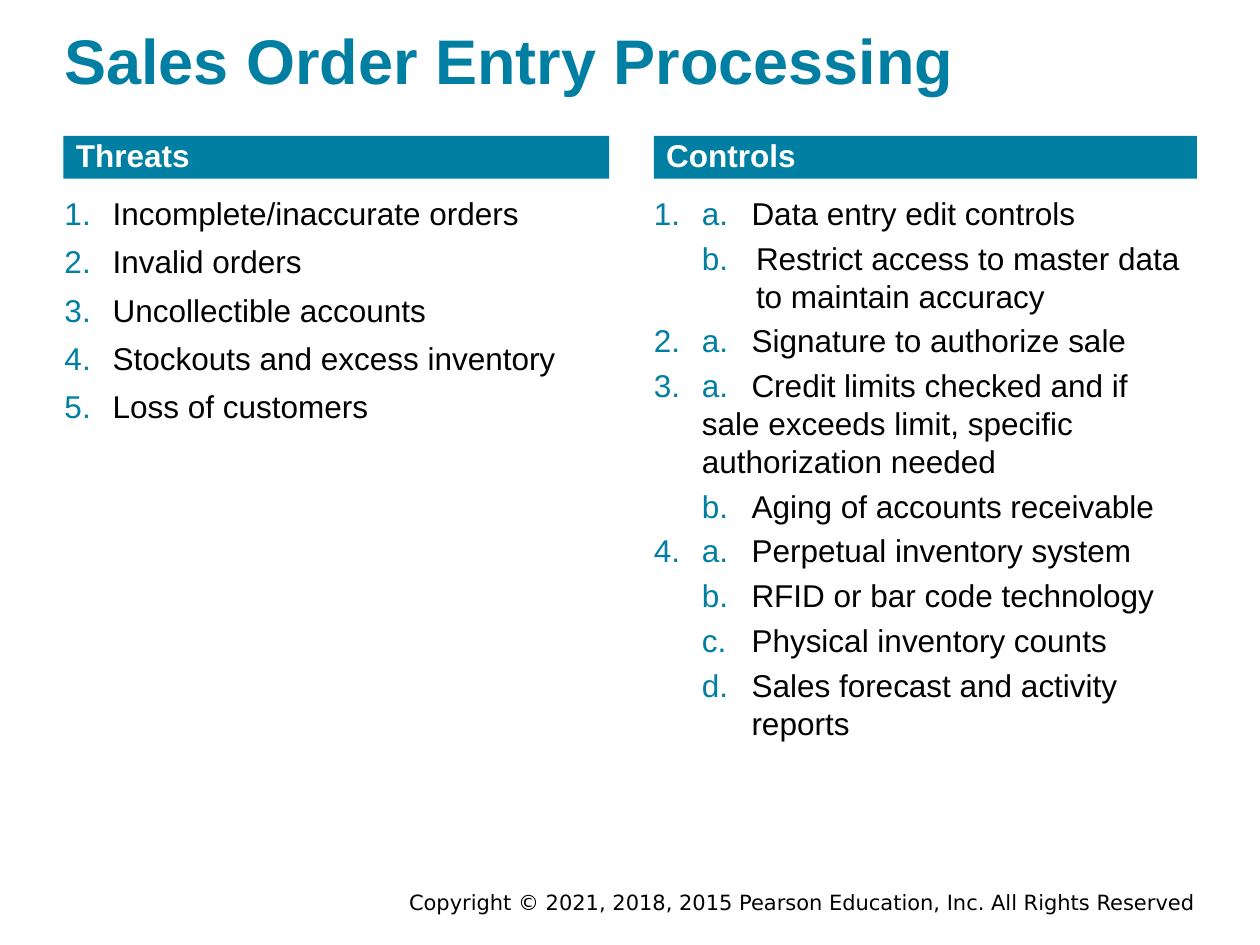
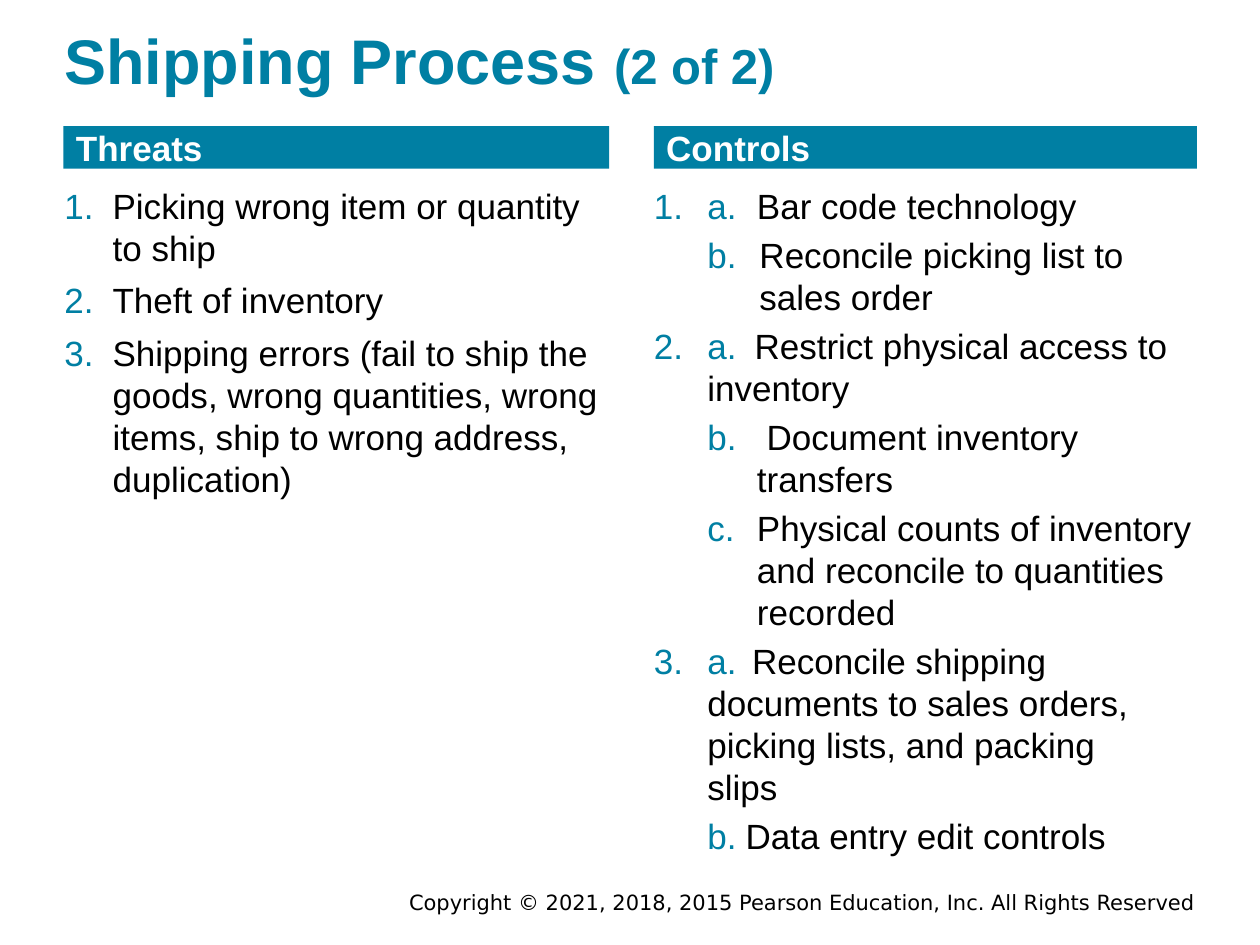
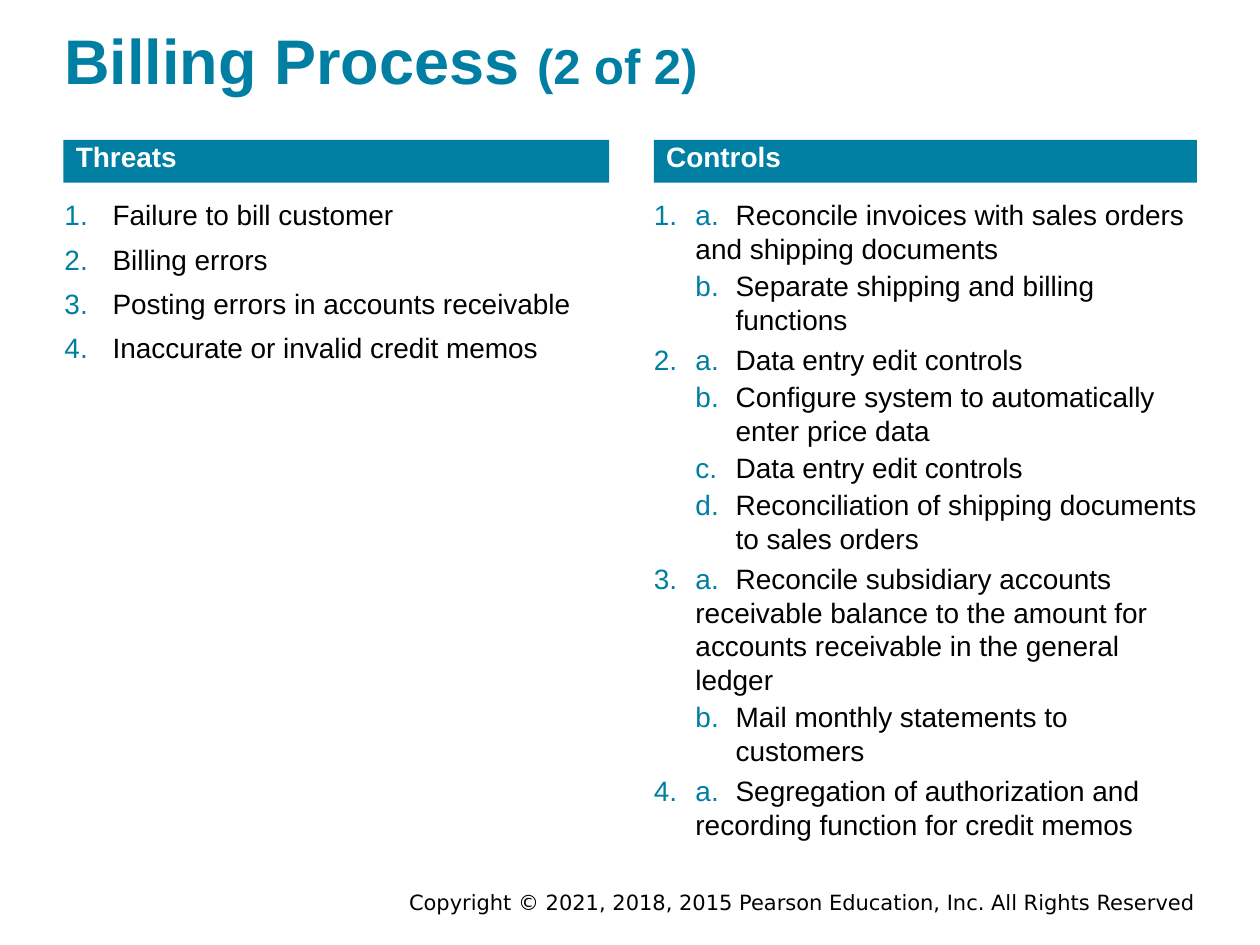
import pptx
import pptx.dml.color
import pptx.enum.text
import pptx.oxml
import pptx.oxml.ns
import pptx.util

Cm = pptx.util.Cm
Pt = pptx.util.Pt
COLORS = {"teal": "007FA3", "white": "FFFFFF", "black": "000000"}
COPYRIGHT = "Copyright © 2021, 2018, 2015 Pearson Education, Inc. All Rights Reserved"
LEFT_COL = (1.28, 11)
RIGHT_COL = (13.18, 10.95)
THREAT_STEP = 0.97

# Lengths in cm. step: start of the letters; text_left: usual start of control text.
# A control is (letter, text) plus its own text start where that differs.
SLIDES = [
    {
        "title": "Sales Order Entry Processing", "part": "",
        "size": 18, "band_top": 2.74, "step": 0.97, "text_left": 1.97, "letter_gap": 4,
        "heights": (5.13, 11.1),
        "threats": [
            "Incomplete/inaccurate orders",
            "Invalid orders",
            "Uncollectible accounts",
            "Stockouts and excess inventory",
            "Loss of customers",
        ],
        "controls": [
            ("a.", "Data entry edit controls"),
            ("b.", "Restrict access to master data to maintain accuracy", 2.06),
            ("a.", "Signature to authorize sale"),
            ("a.", "Credit limits checked and if\vsale exceeds limit, specific authorization needed"),
            ("b.", "Aging of accounts receivable"),
            ("a.", "Perpetual inventory system"),
            ("b.", "RFID or bar code technology"),
            ("c.", "Physical inventory counts"),
            ("d.", "Sales forecast and activity reports"),
        ],
    },
    {
        "title": "Shipping Process ", "part": "(2 of 2)",
        "size": 20, "band_top": 2.54, "step": 1.08, "text_left": 2.08, "letter_gap": 4,
        "heights": (6.4, 13.72),
        "threats": [
            "Picking wrong item or quantity to ship",
            "Theft of inventory",
            "Shipping errors (fail to ship the goods, wrong quantities, wrong items, "
            "ship to wrong address, duplication)",
        ],
        "controls": [
            ("a.", "Bar code technology"),
            ("b.", "Reconcile picking list to sales order", 2.13),
            ("a.", "Restrict physical access to inventory", 2.03),
            ("b.", " Document inventory transfers"),
            ("c.", "Physical counts of inventory and reconcile to quantities recorded"),
            ("a.", "Reconcile shipping documents to sales orders, picking lists, and packing\vslips", 1.98),
            ("b.", "Data entry edit controls", 1.85),
        ],
    },
    {
        "title": "Billing Process ", "part": "(2 of 2)",
        "size": 16, "band_top": 2.82, "step": 0.84, "text_left": 1.65, "letter_gap": 2,
        "heights": (3.38, 13.16),
        "threats": [
            "Failure to bill customer",
            "Billing errors",
            "Posting errors in accounts receivable",
            "Inaccurate or invalid credit memos",
        ],
        "controls": [
            ("a.", "Reconcile invoices with sales orders and shipping documents"),
            ("b.", "Separate shipping and billing functions"),
            ("a.", "Data entry edit controls"),
            ("b.", "Configure system to automatically enter price data"),
            ("c.", "Data entry edit controls"),
            ("d.", "Reconciliation of shipping documents to sales orders"),
            ("a.", "Reconcile subsidiary accounts receivable balance to the amount for "
                   "accounts receivable in the general ledger"),
            ("b.", "Mail monthly statements to customers"),
            ("a.", "Segregation of authorization and recording function for credit memos"),
        ],
    },
]


def add_text(p, text, color, size, bold=False, name="Arial"):
    """Add text to a paragraph; a vertical tab in it becomes a line break."""
    for i, line in enumerate(text.split("\v")):
        if i:
            p.add_line_break()
        r = p.add_run()
        r.text = line
        for key, value in {"name": name, "size": Pt(size), "bold": bold}.items():
            setattr(r.font, key, value)
        r.font.color.rgb = pptx.dml.color.RGBColor.from_string(COLORS[color])


def set_list_format(p, left, first, gap, number=None, tab=None):
    """Set indents in cm, the space before and, if given, a number and a tab stop."""
    pPr = p._p.get_or_add_pPr()
    pPr.set("marL", str(Cm(left)))
    pPr.set("indent", str(Cm(first - left)))
    ns = pptx.oxml.ns.nsdecls("a")
    if number:
        start = f' startAt="{number}"' if number > 1 else ""
        marks = [f'<a:buClr {ns}><a:srgbClr val="{COLORS["teal"]}"/></a:buClr>',
                 f'<a:buAutoNum {ns} type="arabicPeriod"{start}/>']
    else:
        marks = [f"<a:buNone {ns}/>"]
    if tab:
        marks.append(f'<a:tabLst {ns}><a:tab pos="{Cm(tab)}" algn="l"/></a:tabLst>')
    for mark in marks:
        pPr.append(pptx.oxml.parse_xml(mark))
    p.space_before = Pt(gap)


prs = pptx.Presentation()
prs.slide_width, prs.slide_height = Cm(25.4), Cm(19.05)
comparison = prs.slide_layouts.get_by_name("Comparison")
ALIGN = pptx.enum.text.PP_ALIGN
ANCHOR = pptx.enum.text.MSO_ANCHOR

for data in SLIDES:
    s = prs.slides.add_slide(comparison)
    title, left_band, threats, right_band, controls = s.placeholders
    footer = s.shapes.add_textbox(0, 0, 0, 0)
    size, band_top = data["size"], data["band_top"]
    list_top = band_top + 1.17

    boxes = [
        (title, 1.3, 0.43, 22.86, 1.55),
        (left_band, LEFT_COL[0], band_top, LEFT_COL[1], 0.86),
        (threats, LEFT_COL[0] + 0.02, list_top, LEFT_COL[1], data["heights"][0]),
        (right_band, RIGHT_COL[0], band_top, RIGHT_COL[1], 0.86),
        (controls, RIGHT_COL[0], list_top, RIGHT_COL[1], data["heights"][1]),
        (footer, 7.62, 17.93, 16.48, 0.56),
    ]
    for sp, left, top, width, height in boxes:
        sp.left, sp.top, sp.width, sp.height = Cm(left), Cm(top), Cm(width), Cm(height)
        frame_format = {
            "margin_left": 0, "margin_top": 0, "margin_right": 0, "margin_bottom": 0,
            "word_wrap": True, "auto_size": pptx.enum.text.MSO_AUTO_SIZE.NONE,
            "vertical_anchor": ANCHOR.MIDDLE if sp is title else ANCHOR.TOP,
        }
        for key, value in frame_format.items():
            setattr(sp.text_frame, key, value)

    p = title.text_frame.paragraphs[0]
    p.alignment = ALIGN.LEFT
    add_text(p, data["title"], "teal", 36, bold=True)
    if data["part"]:
        add_text(p, data["part"], "teal", 28, bold=True)

    for band, heading in ((left_band, "Threats"), (right_band, "Controls")):
        band.fill.solid()
        band.fill.fore_color.rgb = pptx.dml.color.RGBColor.from_string(COLORS["teal"])
        p = band.text_frame.paragraphs[0]
        set_list_format(p, 0, 0.25, 0)
        add_text(p, heading, "white", size, bold=True)

    tf = threats.text_frame
    for i, threat in enumerate(data["threats"]):
        p = tf.add_paragraph() if i else tf.paragraphs[0]
        set_list_format(p, THREAT_STEP, 0, 6 if i else 0, number=1)
        add_text(p, threat, "black", size)

    tf = controls.text_frame
    step, number = data["step"], 0
    for i, (letter, text, *own_left) in enumerate(data["controls"]):
        p = tf.add_paragraph() if i else tf.paragraphs[0]
        text_left = own_left[0] if own_left else data["text_left"]
        if letter == "a.":
            number += 1
            set_list_format(p, step, 0, 4 if i else 0, number, text_left)
        else:
            set_list_format(p, text_left, step, data["letter_gap"])
        add_text(p, letter, "teal", size)
        add_text(p, "\t" + text, "black", size)

    p = footer.text_frame.paragraphs[0]
    p.alignment = ALIGN.RIGHT
    add_text(p, COPYRIGHT, "black", 12, name="DejaVu Sans")

prs.save("out.pptx")
